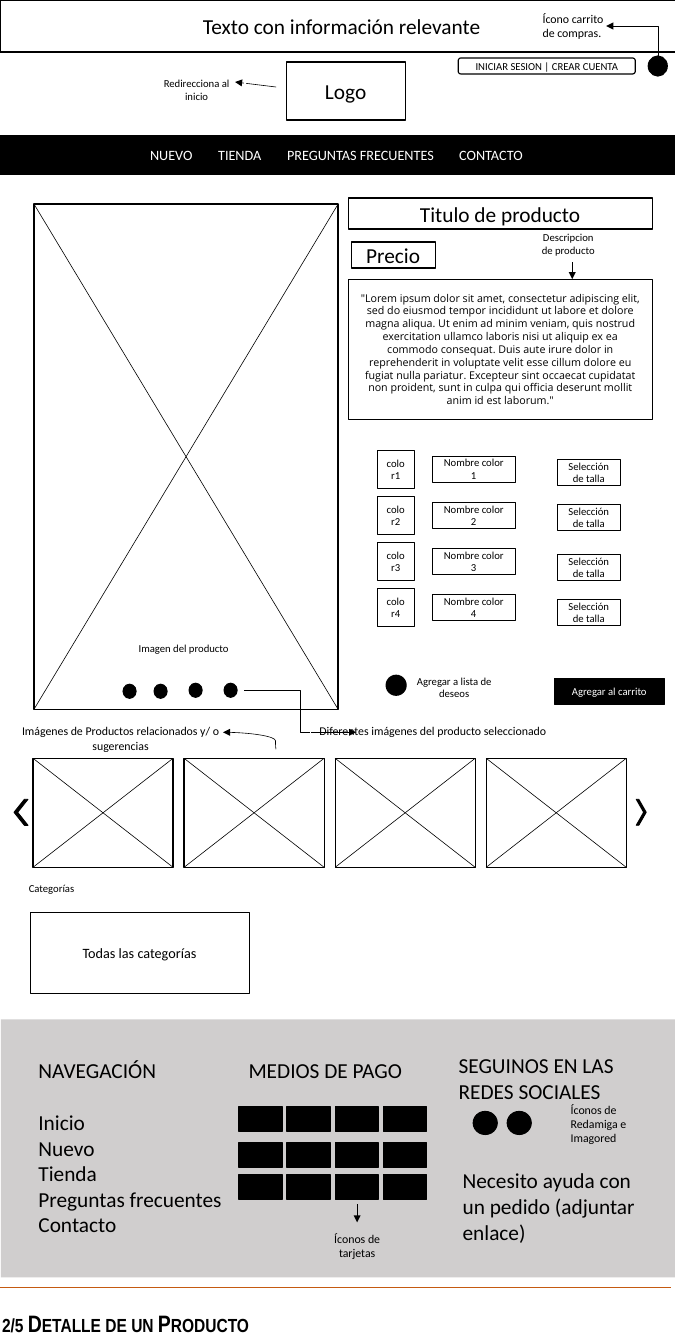
from dataclasses import dataclass

from lxml.etree import SubElement
from pptx import Presentation
from pptx.dml.color import RGBColor
from pptx.enum.shapes import MSO_CONNECTOR, MSO_SHAPE
from pptx.enum.text import MSO_ANCHOR, MSO_AUTO_SIZE, PP_ALIGN
from pptx.oxml.ns import qn
from pptx.util import Emu, Inches, Pt


@dataclass(frozen=True)
class Theme:
    """Colours, fonts and type sizes of the wireframe."""
    ink: str = "000000"
    paper: str = "FFFFFF"
    footer: str = "D0CECE"
    rule: str = "C55A11"
    body: str = "Calibri"
    sample: str = "Open Sans"
    caption: str = "Arial Narrow"
    heading: int = 18
    sheet: int = 20
    menu: int = 12
    note: int = 10
    small: int = 9


THEME = Theme()
SCALE = 914400 / 85.3


def emu(pixels):
    """Turn pixels into EMU."""
    return Emu(round(pixels * SCALE))


@dataclass(frozen=True)
class Box:
    """A rectangle in pixels."""
    left: int
    top: int
    width: int
    height: int

    def at(self, x, y, width, height):
        """Return a box placed relative to this one."""
        return Box(self.left + x, self.top + y, width, height)

    def emus(self):
        """Return left, top, width and height in EMU."""
        return [emu(n) for n in (self.left, self.top, self.width, self.height)]


def write(frame, text, size=THEME.small, color=THEME.ink, font=THEME.body,
          align=PP_ALIGN.CENTER, anchor=MSO_ANCHOR.MIDDLE, bold=False):
    """Fill a text frame with one formatted paragraph per line."""
    frame.word_wrap = True
    frame.vertical_anchor = anchor
    for index, line in enumerate(text.split("\n")):
        paragraph = frame.add_paragraph() if index else frame.paragraphs[0]
        paragraph.alignment = align
        run = paragraph.add_run()
        run.text = line
        run.font.size, run.font.name, run.font.bold = Pt(size), font, bold
        run.font.color.rgb = RGBColor.from_string(color)
    return frame


def block(slide, box, text="", kind=MSO_SHAPE.RECTANGLE, fill=THEME.paper,
          line=THEME.ink, weight=1, **style):
    """Add a preset shape with optional text."""
    shape = slide.shapes.add_shape(kind, *box.emus())
    shape.shadow.inherit = False
    if fill:
        shape.fill.solid()
        shape.fill.fore_color.rgb = RGBColor.from_string(fill)
    else:
        shape.fill.background()
    if line:
        shape.line.color.rgb = RGBColor.from_string(line)
        shape.line.width = Pt(weight)
    else:
        shape.line.fill.background()
    if text:
        write(shape.text_frame, text, **style)
    return shape


def dot(slide, box):
    """Add a round icon stand-in."""
    block(slide, box, kind=MSO_SHAPE.OVAL, fill=THEME.ink)


def label(slide, box, text, **style):
    """Add a plain text box."""
    return write(slide.shapes.add_textbox(*box.emus()).text_frame, text, **style)


def footer_text(slide, box, text, size=THEME.heading, align=PP_ALIGN.LEFT):
    """Add a text box that starts at its top edge."""
    return label(slide, box, text, size=size, align=align, anchor=MSO_ANCHOR.TOP)


def link(slide, box, start, end, kind=MSO_CONNECTOR.STRAIGHT, arrow=None,
         preset=None, bend=None, color=THEME.ink, weight=0.5):
    """Draw a connector between two points of a box."""
    points = [emu(n) for x, y in (start, end) for n in (box.left + x, box.top + y)]
    connector = slide.shapes.add_connector(kind, *points)
    connector.line.color.rgb = RGBColor.from_string(color)
    connector.line.width = Pt(weight)
    properties = connector._element.spPr
    SubElement(properties, qn("a:effectLst"))
    geometry = properties.find(qn("a:prstGeom"))
    if preset:
        geometry.set("prst", preset)
    if bend is not None:
        SubElement(geometry.find(qn("a:avLst")), qn("a:gd"), name="adj1", fmla=f"val {bend}")
    if arrow:
        SubElement(properties.find(qn("a:ln")), qn(f"a:{arrow}"), type="triangle")


def crossed(slide, box):
    """Draw an image stand-in with both diagonals."""
    block(slide, box)
    link(slide, box, (0, 0), (box.width, box.height))
    link(slide, box, (box.width, 0), (0, box.height))


def header(slide, box):
    """Announcement, logo, account links and cart icon."""
    block(slide, box.at(0, 0, 683, 52), "Texto con información relevante", size=THEME.heading)
    block(slide, box.at(286, 62, 119, 58), "Logo", size=THEME.heading)
    link(slide, box, (276, 87), (235, 82), arrow="tailEnd")
    block(slide, box.at(148, 58, 97, 63), "Redirecciona al inicio", fill=None, line=THEME.paper)
    block(slide, box.at(458, 58, 177, 16), "INICIAR SESION | CREAR CUENTA",
          kind=MSO_SHAPE.ROUNDED_RECTANGLE)
    dot(slide, box.at(648, 56, 19, 20))
    link(slide, box, (606, 26), (658, 56), MSO_CONNECTOR.ELBOW, "headEnd", "bentConnector2")
    label(slide, box.at(534, 7, 81, 38), "Ícono carrito de compras.", size=THEME.note,
          align=PP_ALIGN.LEFT, anchor=MSO_ANCHOR.TOP)


def menu(slide, box):
    """Main menu bar with its entries on tab stops."""
    entries = ("NUEVO", "TIENDA", "PREGUNTAS FRECUENTES", "CONTACTO")
    frame = block(slide, box, "\t".join(entries), fill=THEME.ink, size=THEME.menu,
                  color=THEME.paper, align=PP_ALIGN.LEFT).text_frame
    frame.margin_left = emu(151)
    stops = SubElement(frame.paragraphs[0]._p.get_or_add_pPr(), qn("a:tabLst"))
    for stop in (68, 137, 309):
        SubElement(stops, qn("a:tab"), pos=str(emu(stop)), algn="l")


def gallery(slide, box):
    """Product image with its selector dots."""
    crossed(slide, box)
    block(slide, box.at(80, 421, 139, 46), "Imagen del producto", line=THEME.paper,
          kind=MSO_SHAPE.ROUNDED_RECTANGLE)
    for x, y in ((89, 480), (120, 480), (155, 479), (190, 479)):
        dot(slide, box.at(x, y, 13, 14))
    link(slide, box, (210, 486), (322, 528), MSO_CONNECTOR.ELBOW, "tailEnd")
    block(slide, box.at(276, 514, 245, 26), "Diferentes imágenes del producto seleccionado",
          fill=None, line=THEME.paper, size=THEME.note)


def details(slide, box):
    """Title, price, description, variants and purchase actions."""
    block(slide, box.at(0, 0, 304, 31), "Titulo de producto", size=THEME.heading)
    block(slide, box.at(3, 44, 84, 26), "Precio", size=THEME.heading)
    block(slide, box.at(0, 81, 304, 140),
          '"Lorem ipsum dolor sit amet, consectetur adipiscing elit, sed do eiusmod tempor '
          "incididunt ut labore et dolore magna aliqua. Ut enim ad minim veniam, quis nostrud "
          "exercitation ullamco laboris nisi ut aliquip ex ea commodo consequat. Duis aute irure "
          "dolor in reprehenderit in voluptate velit esse cillum dolore eu fugiat nulla pariatur. "
          "Excepteur sint occaecat cupidatat non proident, sunt in culpa qui officia deserunt "
          'mollit anim id est laborum."', font=THEME.sample)
    link(slide, box, (224, 64), (224, 81), arrow="tailEnd")
    block(slide, box.at(184, 39, 72, 14), "Descripcion de producto", line=THEME.paper,
          kind=MSO_SHAPE.ROUNDED_RECTANGLE)
    for index, size_top in enumerate((261, 306, 356, 401)):
        row = box.at(0, 252 + 46 * index, 304, 38)
        block(slide, row.at(29, 0, 37, 38), f"color{index + 1}")
        block(slide, row.at(84, 6, 83, 26), f"Nombre color {index + 1}")
        block(slide, box.at(209, size_top, 63, 26), "Selección de talla")
    dot(slide, box.at(38, 477, 20, 20))
    block(slide, box.at(60, 479, 92, 20), "Agregar a lista de deseos", line=THEME.paper)
    block(slide, box.at(206, 480, 110, 26), "Agregar al carrito", fill=THEME.ink,
          color=THEME.paper)


def related(slide, box):
    """Carousel of related products."""
    block(slide, box.at(-2, 0, 245, 26), "Imágenes de Productos relacionados y/ o sugerencias",
          line=THEME.paper, size=THEME.note)
    link(slide, box, (276, 24), (223, 7), MSO_CONNECTOR.CURVE, "tailEnd", bend=1100)
    for index in range(4):
        crossed(slide, box.at(33 + 151 * index, 33, 140, 109))
    for x, width, turn in ((14, 14, 180), (636, 10, 0)):
        arrow = block(slide, box.at(x, 74, width, 26), kind=MSO_SHAPE.CHEVRON,
                      fill=THEME.ink, weight=0)
        arrow.adjustments[0] = 0.74
        arrow.rotation = turn


def categories(slide, box):
    """Category heading and its box."""
    label(slide, box.at(1, 0, 101, 22), "Categorías")
    block(slide, box.at(30, 35, 219, 81), "Todas las categorías", weight=0.25, size=THEME.menu)


def footer(slide, box):
    """Navigation, payment methods and social networks."""
    block(slide, box, fill=THEME.footer, line=None)
    navigation = footer_text(slide, box.at(29, 34, 212, 189),
                             "NAVEGACIÓN\nInicio\nNuevo\nTienda\nPreguntas frecuentes\nContacto")
    navigation.paragraphs[1].space_before = Pt(22)
    footer_text(slide, box.at(239, 34, 212, 34), "MEDIOS DE PAGO")
    for y in (87, 123, 155):
        for column in range(4):
            block(slide, box.at(238 + 48 * column, y, 43, 25), fill=THEME.ink)
    link(slide, box, (356, 185), (356, 203), arrow="tailEnd")
    footer_text(slide, box.at(318, 208, 76, 38), "Íconos de tarjetas", size=THEME.note,
                align=PP_ALIGN.CENTER)
    footer_text(slide, box.at(449, 29, 212, 86), "SEGUINOS EN LAS REDES SOCIALES")
    for x in (472, 506):
        dot(slide, box.at(x, 92, 24, 23))
    footer_text(slide, box.at(561, 79, 76, 52), "Íconos de Redamiga e Imagored", size=THEME.note)
    footer_text(slide, box.at(453, 144, 212, 112),
                "Necesito ayuda con un pedido (adjuntar enlace)")


def sheet_title(slide, box):
    """Rule and sheet title in small capitals."""
    link(slide, box, (0, 0), (box.width, 0), color=THEME.rule, weight=1)
    title = slide.shapes.title
    title.left, title.top, title.width, title.height = box.at(2, 19, 540, 32).emus()
    frame = title.text_frame
    frame.auto_size = MSO_AUTO_SIZE.NONE
    frame.margin_left = frame.margin_right = frame.margin_top = frame.margin_bottom = 0
    write(frame, "2/5 Detalle de un Producto", size=THEME.sheet, font=THEME.caption,
          align=PP_ALIGN.LEFT, bold=True)
    frame.paragraphs[0].runs[0]._r.get_or_add_rPr().set("cap", "small")


def main():
    """Build the product page wireframe."""
    deck = Presentation()
    deck.slide_width, deck.slide_height = Inches(7.91), Inches(15.75)
    slide = deck.slides.add_slide(deck.slide_layouts[5])
    header(slide, Box(0, 0, 675, 135))
    menu(slide, Box(-1, 136, 676, 38))
    gallery(slide, Box(34, 204, 304, 505))
    details(slide, Box(348, 198, 304, 506))
    related(slide, Box(0, 725, 675, 145))
    categories(slide, Box(0, 877, 675, 118))
    footer(slide, Box(1, 1019, 675, 258))
    sheet_title(slide, Box(0, 1287, 671, 56))
    deck.save("out.pptx")


main()
